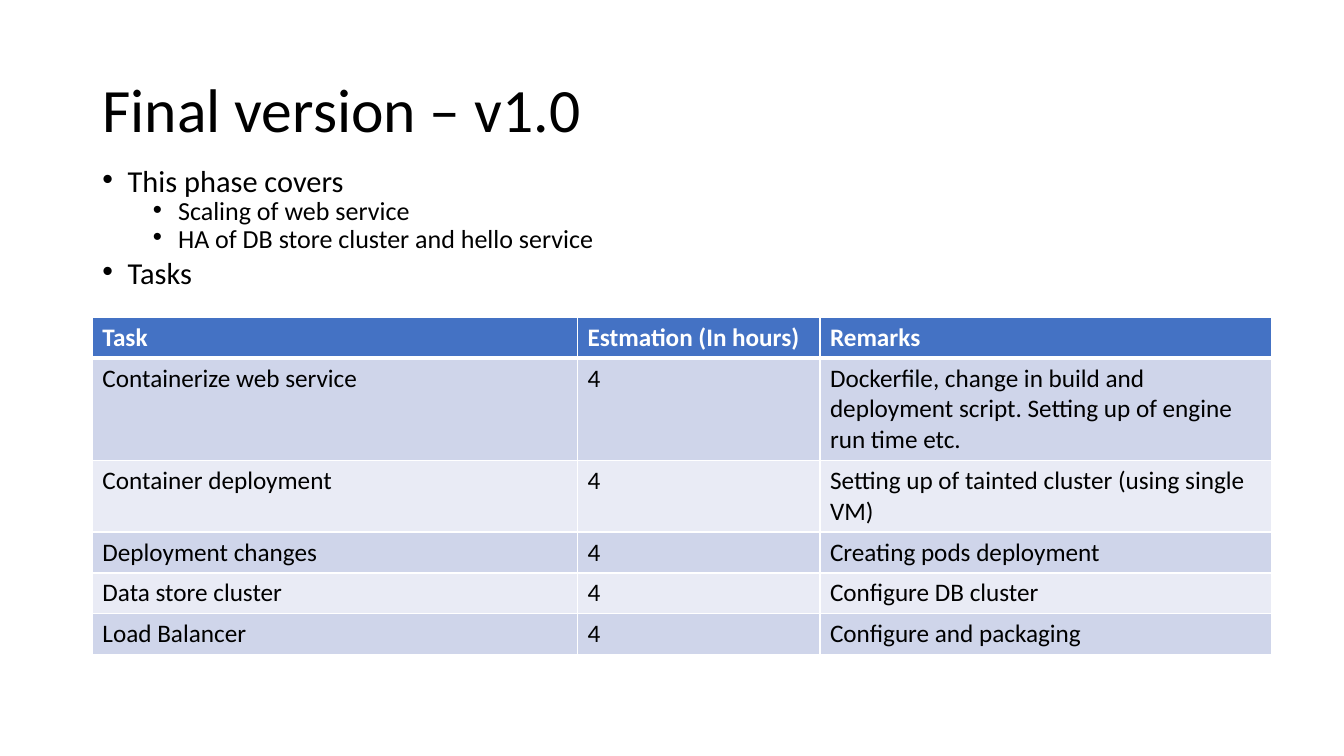
"""Build the final version slide: a title, a phase outline and a task estimate table."""
from dataclasses import dataclass
from typing import Any

import lxml.etree
import pptx
import pptx.dml.color
import pptx.enum.text
import pptx.oxml.ns
import pptx.util

EMU_PER_PX = 9525
FONT = "Calibri"
BLACK, WHITE, HEADER_BLUE = "000000", "FFFFFF", "4472C4"
BAND_FILLS = ("CFD5EA", "E9EBF5")
COLUMN_WIDTHS = (462, 231, 430)
ROW_HEIGHT = 39


@dataclass(frozen=True)
class Box:
    left: int
    top: int
    width: int
    height: int


@dataclass(frozen=True)
class Bullet:
    text: str
    level: int = 0


@dataclass(frozen=True)
class BulletStyle:
    size: float
    space_before: int
    margin: int


@dataclass(frozen=True)
class Task:
    name: str
    hours: str
    remarks: str


TITLE_BOX = Box(88, 38, 1104, 139)
BODY_BOX = Box(88, 159, 1104, 131)
BULLET_STYLES = (BulletStyle(21.7, 8, 24), BulletStyle(18.6, 4, 72))
BULLETS = (
    Bullet("This phase covers"),
    Bullet("Scaling of web service", 1),
    Bullet("HA of DB store cluster and hello service", 1),
    Bullet("Tasks"),
)
HEADER = Task("Task", "Estmation (In hours)", "Remarks")
TASKS = (
    Task("Containerize web service", "4",
         "Dockerfile, change in build and deployment script. "
         "Setting up of engine run time etc."),
    Task("Container deployment", "4", "Setting up of tainted cluster (using single VM)"),
    Task("Deployment changes", "4", "Creating pods deployment"),
    Task("Data store cluster", "4", "Configure DB cluster"),
    Task("Load Balancer", "4", "Configure and packaging"),
)


def px(length: int) -> pptx.util.Emu:
    return pptx.util.Emu(length * EMU_PER_PX)


def color(value: str) -> pptx.dml.color.RGBColor:
    return pptx.dml.color.RGBColor.from_string(value)


def add_element(parent: Any, tag: str, **attributes: str) -> Any:
    return lxml.etree.SubElement(parent, pptx.oxml.ns.qn(tag), attributes)


def write_text(para: Any, text: str, *, size: float, fill: str = BLACK,
               bold: bool = False, line_spacing: float = 1.0,
               space_before: float = 0) -> None:
    para.alignment = pptx.enum.text.PP_ALIGN.LEFT
    para.line_spacing = line_spacing
    para.space_before = pptx.util.Pt(space_before)
    span = para.add_run()
    span.text = text
    span.font.name = FONT
    span.font.size = pptx.util.Pt(size)
    span.font.bold = bold
    span.font.color.rgb = color(fill)


def place(shape: Any, box: Box) -> None:
    shape.left, shape.top = px(box.left), px(box.top)
    shape.width, shape.height = px(box.width), px(box.height)
    shape.text_frame.word_wrap = True
    shape.text_frame.auto_size = pptx.enum.text.MSO_AUTO_SIZE.NONE


def fill_title(title: Any) -> None:
    place(title, TITLE_BOX)
    title.text_frame.vertical_anchor = pptx.enum.text.MSO_ANCHOR.MIDDLE
    write_text(title.text_frame.paragraphs[0], "Final version – v1.0",
               size=44, line_spacing=0.9)


def fill_body(body: Any) -> None:
    place(body, BODY_BOX)
    frame = body.text_frame
    for index, bullet in enumerate(BULLETS):
        para = frame.add_paragraph() if index else frame.paragraphs[0]
        style = BULLET_STYLES[bullet.level]
        para.level = bullet.level
        write_text(para, bullet.text, size=style.size, line_spacing=0.7,
                   space_before=style.space_before)
        properties = para._p.get_or_add_pPr()
        properties.set("marL", str(px(style.margin)))
        properties.set("indent", str(px(-24)))
        add_element(properties, "a:buFont", typeface="Arial")
        add_element(properties, "a:buChar", char="•")


def add_borders(cell: Any, top: int, bottom: int) -> None:
    properties = cell._tc.get_or_add_tcPr()
    for side, points in (("L", 1), ("R", 1), ("T", top), ("B", bottom)):
        line = add_element(properties, f"a:ln{side}", w=str(pptx.util.Pt(points)))
        add_element(add_element(line, "a:solidFill"), "a:srgbClr", val=WHITE)


def add_task_table(slide: Any) -> None:
    rows = (HEADER, *TASKS)
    table = slide.shapes.add_table(
        len(rows), len(COLUMN_WIDTHS), px(88), px(302),
        px(sum(COLUMN_WIDTHS)), px(ROW_HEIGHT * len(rows))).table
    for column, width in zip(table.columns, COLUMN_WIDTHS):
        column.width = px(width)
    for index, task in enumerate(rows):
        table.rows[index].height = px(ROW_HEIGHT)
        is_header = index == 0
        fill = HEADER_BLUE if is_header else BAND_FILLS[(index - 1) % 2]
        for cell, text in zip(table.rows[index].cells,
                              (task.name, task.hours, task.remarks)):
            add_borders(cell, top=3 if index == 1 else 1, bottom=3 if is_header else 1)
            cell.fill.solid()
            cell.fill.fore_color.rgb = color(fill)
            write_text(cell.text_frame.paragraphs[0], text, size=18,
                       fill=WHITE if is_header else BLACK, bold=is_header)


def main() -> None:
    deck = pptx.Presentation()
    deck.slide_width, deck.slide_height = px(1280), px(720)
    page = deck.slides.add_slide(deck.slide_layouts[1])
    page.background.fill.solid()
    page.background.fill.fore_color.rgb = color(WHITE)
    fill_title(page.shapes.title)
    fill_body(page.placeholders[1])
    add_task_table(page)
    deck.save("out.pptx")


if __name__ == "__main__":
    main()
